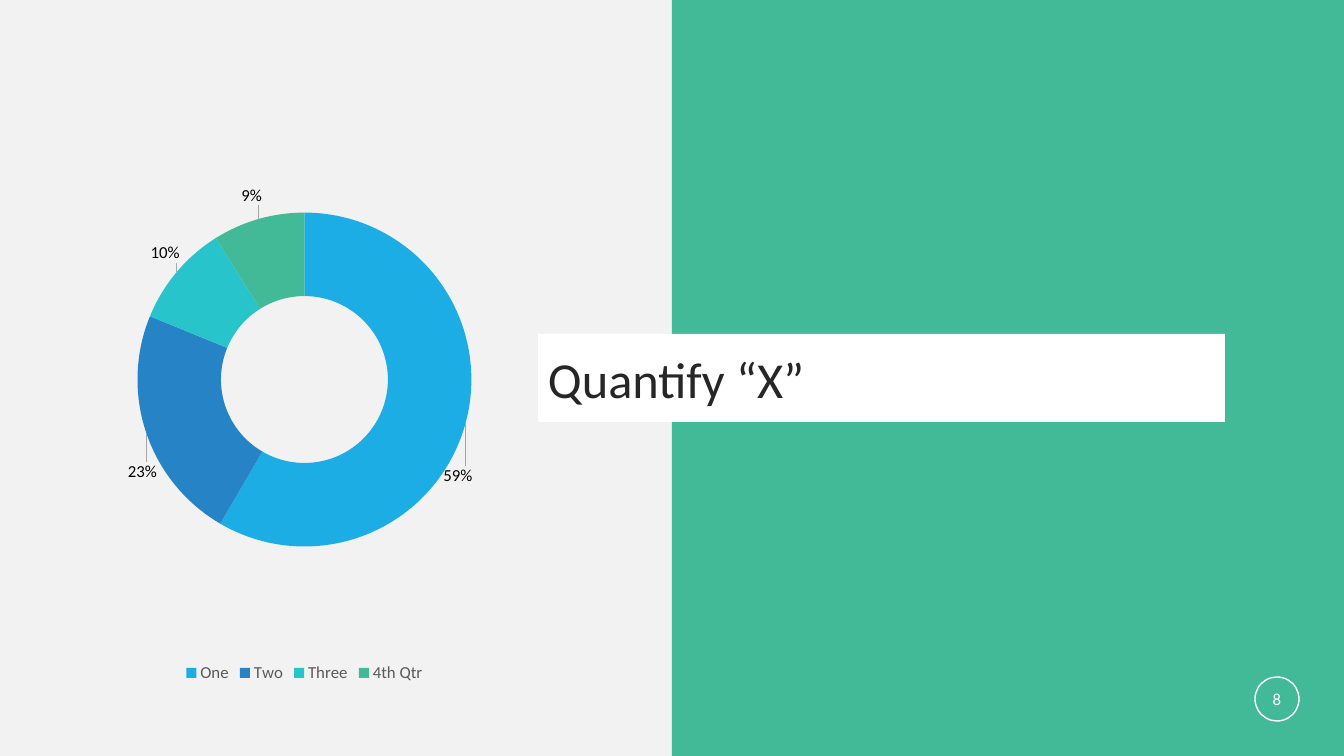
from dataclasses import dataclass

from lxml import etree
from pptx import Presentation
from pptx.chart.data import CategoryChartData
from pptx.dml.color import RGBColor
from pptx.enum.chart import XL_CHART_TYPE, XL_LEGEND_POSITION
from pptx.enum.shapes import MSO_SHAPE
from pptx.enum.text import MSO_ANCHOR, PP_ALIGN
from pptx.oxml import parse_xml
from pptx.oxml.ns import nsdecls, qn
from pptx.util import Emu, Pt

DOUGHNUT = XL_CHART_TYPE.DOUGHNUT
LEGEND_BOTTOM = XL_LEGEND_POSITION.BOTTOM
RECTANGLE, OVAL = MSO_SHAPE.RECTANGLE, MSO_SHAPE.OVAL
MIDDLE = MSO_ANCHOR.MIDDLE
LEFT, CENTER = PP_ALIGN.LEFT, PP_ALIGN.CENTER

TITLE = "Quantify “X”"
PAGE_NUMBER = "8"
SERIES = "Series 1"
# category, percent, slice colour, label shift from the ring's middle (px)
SLICES = [
    ("One", 59, "1CADE4", (33, 65)),
    ("Two", 23, "2683C6", (-45, 54)),
    ("Three", 10, "28C4CC", (-42, -46)),
    ("4th Qtr", 9, "42BA97", (-19, -64)),
]

# left, top, width, height in px
PAGE = (1344, 756)
PANEL = (672, 0, 672, 756)
TITLE_BAR = (538, 334, 687, 88)
CHART = (123, 107, 363, 580)
RING = (137, 212, 335, 335)
BADGE = (1255, 677, 44, 44)
HOLE_PERCENT = 62
EMU_PER_PX = 914400 / 100.8


@dataclass(frozen=True)
class Theme:
    font: str = "Calibri"
    background: str = "F2F2F2"
    panel: str = "42BA97"
    white: str = "FFFFFF"
    title: str = "262626"
    label: str = "000000"
    legend: str = "595959"
    leader: str = "A6A6A6"
    title_size: int = 36
    small_size: int = 12


THEME = Theme()


def px(length):
    return Emu(round(length * EMU_PER_PX))


def rgb(code):
    return RGBColor.from_string(code)


def style_font(font, size, color):
    font.name, font.size = THEME.font, Pt(size)
    font.color.rgb = rgb(color)


def add_block(page, kind, frame, fill=None, line=None):
    block = page.shapes.add_shape(kind, *map(px, frame))
    block.shadow.inherit = False
    if fill:
        block.fill.solid()
        block.fill.fore_color.rgb = rgb(fill)
    else:
        block.fill.background()
    if line:
        block.line.color.rgb = rgb(line)
        block.line.width = Pt(1)
    else:
        block.line.fill.background()
    return block


def write(block, text, size, color, align=LEFT, inset=None):
    box = block.text_frame
    box.word_wrap = True
    box.vertical_anchor = MIDDLE
    if inset is not None:
        box.margin_left = box.margin_right = px(inset)
        box.margin_top = box.margin_bottom = px(inset)
    para = box.paragraphs[0]
    para.alignment = align
    span = para.add_run()
    span.text = text
    style_font(span.font, size, color)


def manual_layout(x, y, extra=""):
    return (f"<c:layout {nsdecls('c')}><c:manualLayout>{extra}"
            f'<c:x val="{x:.2f}"/><c:y val="{y:.2f}"/>')


def place_ring(chart):
    """Fix the plot area so that the ring fills the RING frame."""
    left, top, width, height = CHART
    ring_left, ring_top, ring_width, ring_height = RING
    modes = ('<c:layoutTarget val="inner"/><c:xMode val="edge"/>'
             '<c:yMode val="edge"/>')
    layout = parse_xml(
        manual_layout((ring_left - left) / width, (ring_top - top) / height, modes)
        + f'<c:w val="{ring_width / width:.2f}"/>'
        f'<c:h val="{ring_height / height:.2f}"/></c:manualLayout></c:layout>')
    plot_area = chart.element.find(f".//{qn('c:plotArea')}")
    for old in plot_area.findall(qn("c:layout")):
        plot_area.remove(old)
    plot_area.insert(0, layout)
    plot_area.find(f".//{qn('c:holeSize')}").set("val", str(HOLE_PERCENT))


def shifted_label(index, shift):
    layout = manual_layout(shift[0] / CHART[2], shift[1] / CHART[3])
    flags = "".join(
        f'<c:show{name} val="{int(name == "Val")}"/>'
        for name in ("LegendKey", "Val", "CatName", "SerName", "Percent", "BubbleSize"))
    return parse_xml(
        f'<c:dLbl {nsdecls("c")}><c:idx val="{index}"/>'
        f"{layout}</c:manualLayout></c:layout>"
        f'<c:numFmt formatCode="0&quot;%&quot;" sourceLinked="0"/>{flags}</c:dLbl>')


def add_leader_lines(labels):
    for old in labels.findall(qn("c:showLeaderLines")):
        labels.remove(old)
    etree.SubElement(labels, qn("c:showLeaderLines")).set("val", "1")
    labels.append(parse_xml(
        f'<c:leaderLines {nsdecls("c", "a")}><c:spPr><a:ln w="9525"><a:solidFill>'
        f'<a:srgbClr val="{THEME.leader}"/></a:solidFill></a:ln></c:spPr>'
        "</c:leaderLines>"))


def add_doughnut(page):
    data = CategoryChartData()
    data.categories = [name for name, *_ in SLICES]
    data.add_series(SERIES, [value for _, value, *_ in SLICES])
    chart = page.shapes.add_chart(DOUGHNUT, *map(px, CHART), data).chart
    chart.has_title = False
    style_font(chart.font, THEME.small_size, THEME.label)
    chart.has_legend = True
    chart.legend.position = LEGEND_BOTTOM
    chart.legend.include_in_layout = False
    style_font(chart.legend.font, THEME.small_size, THEME.legend)

    plot = chart.plots[0]
    plot.vary_by_categories = True
    series = plot.series[0]
    labels = series.data_labels
    labels.show_value = True
    labels.number_format, labels.number_format_is_linked = '0"%"', False
    style_font(labels.font, THEME.small_size, THEME.label)
    label_list = series.data_labels._element
    for index, (_, _, color, shift) in enumerate(SLICES):
        piece = series.points[index].format
        piece.fill.solid()
        piece.fill.fore_color.rgb = rgb(color)
        piece.line.fill.background()
        label_list.insert(index, shifted_label(index, shift))
    add_leader_lines(label_list)
    place_ring(chart)


def main():
    deck = Presentation()
    deck.slide_width, deck.slide_height = map(px, PAGE)
    page = deck.slides.add_slide(deck.slide_layouts[6])
    page.background.fill.solid()
    page.background.fill.fore_color.rgb = rgb(THEME.background)

    add_block(page, RECTANGLE, PANEL, fill=THEME.panel)
    title_bar = add_block(page, RECTANGLE, TITLE_BAR, fill=THEME.white)
    write(title_bar, TITLE, THEME.title_size, THEME.title)
    add_doughnut(page)
    badge = add_block(page, OVAL, BADGE, line=THEME.white)
    write(badge, PAGE_NUMBER, THEME.small_size, THEME.white, align=CENTER, inset=0)
    deck.save("out.pptx")


if __name__ == "__main__":
    main()
